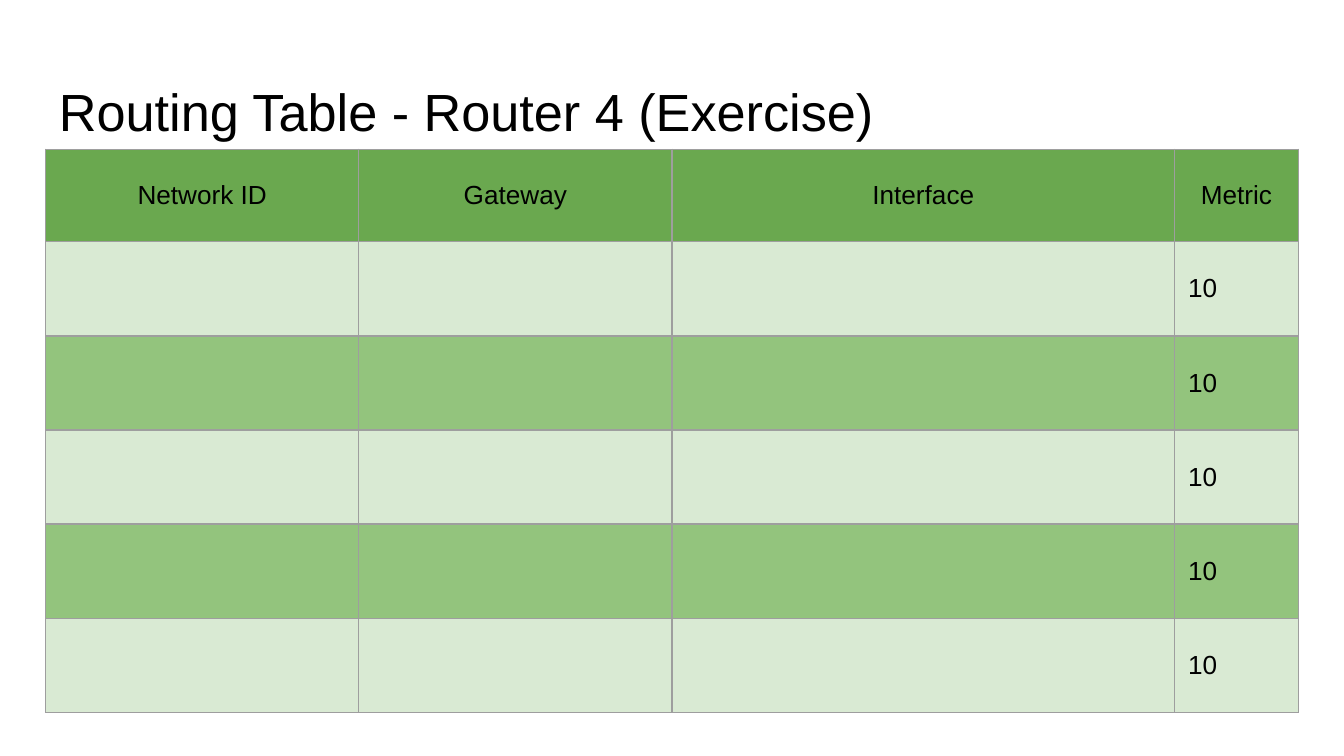
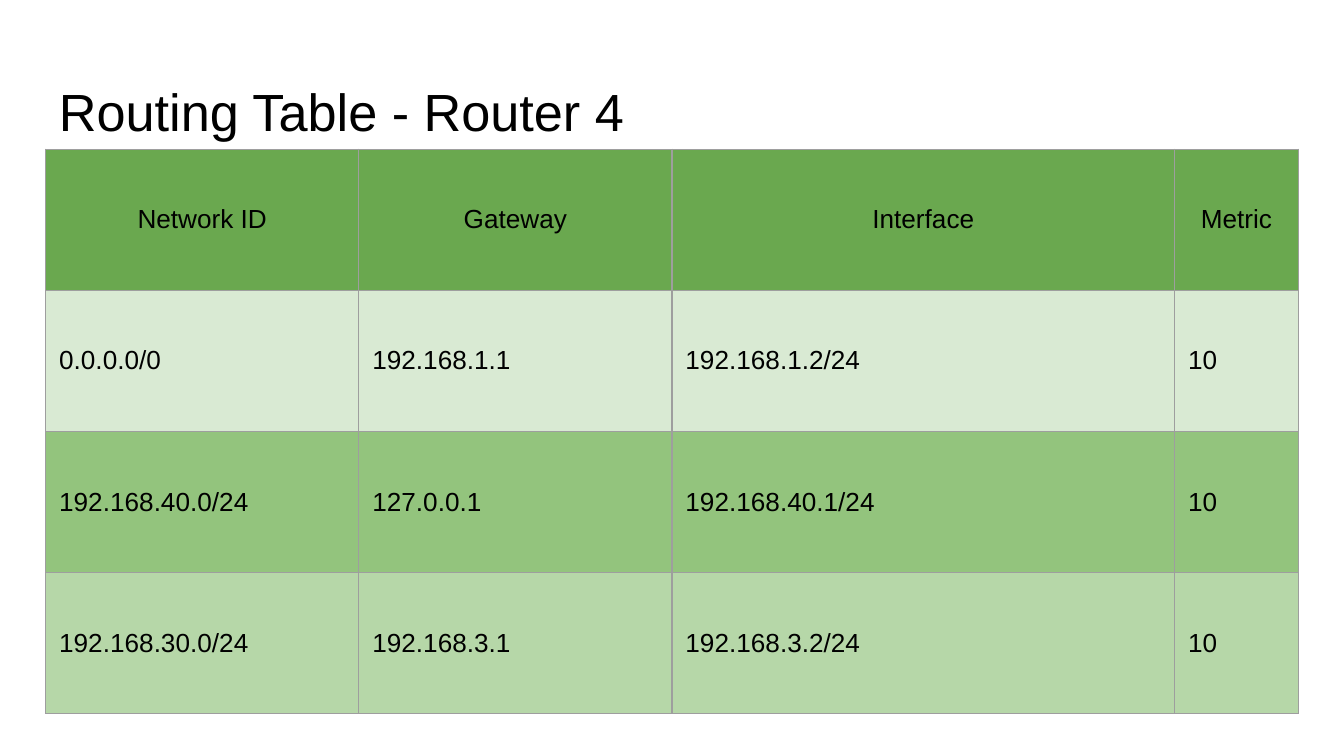
from lxml import etree
from pptx import Presentation
from pptx.dml.color import RGBColor
from pptx.enum.text import MSO_ANCHOR as ANCHOR, PP_ALIGN as ALIGN
from pptx.oxml.ns import qn
from pptx.util import Inches, Pt

COLORS = {
    "text": "000000",
    "border": "9E9E9E",
    "header": "6AA84F",
    "light": "D9EAD3",
    "medium": "B6D7A8",
    "dark": "93C47D",
}
FONT = "Arial"
LEFT, WIDTH = 0.34, 9.32
HEADERS = ["Network ID", "Gateway", "Interface", "Metric"]
COL_WIDTHS = [2.33, 2.33, 3.74, 0.92]
METRIC = "10"


def style_paragraph(p, size, align=ALIGN.LEFT):
    """Set the shared font, a size and an alignment."""
    p.alignment = align
    p.font.name = FONT
    p.font.size = Pt(size)
    p.font.color.rgb = RGBColor.from_string(COLORS["text"])


def add_title(slide, text):
    """Add the slide title above the table."""
    sp = slide.shapes.add_textbox(Inches(LEFT), Inches(0.49),
                                  Inches(WIDTH), Inches(0.63))
    tf = sp.text_frame
    tf.word_wrap = True
    tf.vertical_anchor = ANCHOR.TOP
    tf.margin_left = tf.margin_right = Inches(0.1)
    tf.margin_top = tf.margin_bottom = Inches(0.1)
    p = tf.paragraphs[0]
    p.text = text
    style_paragraph(p, 28)


def set_borders(cell):
    """Draw a thin grey line on all four sides of a cell."""
    tc_pr = cell._tc.get_or_add_tcPr()
    for i, side in enumerate(("lnL", "lnR", "lnT", "lnB")):
        ln = etree.Element(qn(f"a:{side}"), w=str(Pt(0.75)))
        fill = etree.SubElement(ln, qn("a:solidFill"))
        etree.SubElement(fill, qn("a:srgbClr"), val=COLORS["border"])
        tc_pr.insert(i, ln)


def fill_cell(cell, text, color, align):
    """Give a cell its text, fill, margins and borders."""
    cell.fill.solid()
    cell.fill.fore_color.rgb = RGBColor.from_string(COLORS[color])
    cell.vertical_anchor = ANCHOR.MIDDLE
    cell.margin_left = cell.margin_right = Inches(0.1)
    cell.margin_top = cell.margin_bottom = Inches(0.1)
    p = cell.text_frame.paragraphs[0]
    if text:
        p.text = text
    style_paragraph(p, 14, align)
    set_borders(cell)


def add_routing_table(slide, routes, row_colors, header_height, row_height):
    """Add a header row and one row per route, ending in the metric."""
    rows = [HEADERS] + [[*route, METRIC] for route in routes]
    heights = [header_height] + [row_height] * len(routes)
    frame = slide.shapes.add_table(len(rows), len(HEADERS), Inches(LEFT),
                                   Inches(1.11), Inches(WIDTH),
                                   Inches(sum(heights)))
    table = frame.table
    for column, width in zip(table.columns, COL_WIDTHS):
        column.width = Inches(width)
    for r, (texts, color) in enumerate(zip(rows, ["header"] + row_colors)):
        table.rows[r].height = Inches(heights[r])
        align = ALIGN.LEFT if r else ALIGN.CENTER
        for c, text in enumerate(texts):
            fill_cell(table.cell(r, c), text, color, align)


def add_routing_slide(prs, title, *table_args):
    """Add a slide with a title and a routing table."""
    slide = prs.slides.add_slide(prs.slide_layouts[6])
    add_title(slide, title)
    add_routing_table(slide, *table_args)


def main():
    """Build the exercise slide and its solution."""
    prs = Presentation()
    prs.slide_width = Inches(10)
    prs.slide_height = Inches(10) * 9 // 16

    blank_routes = [("", "", "")] * 5
    stripes = ["light", "dark", "light", "dark", "light"]
    add_routing_slide(prs, "Routing Table - Router 4 (Exercise)",
                      blank_routes, stripes, 0.69, 0.7)

    routes = [
        ("0.0.0.0/0", "192.168.1.1", "192.168.1.2/24"),
        ("192.168.40.0/24", "127.0.0.1", "192.168.40.1/24"),
        ("192.168.30.0/24", "192.168.3.1", "192.168.3.2/24"),
    ]
    add_routing_slide(prs, "Routing Table - Router 4",
                      routes, ["light", "dark", "medium"], 1.05, 1.05)

    prs.save("out.pptx")


main()
